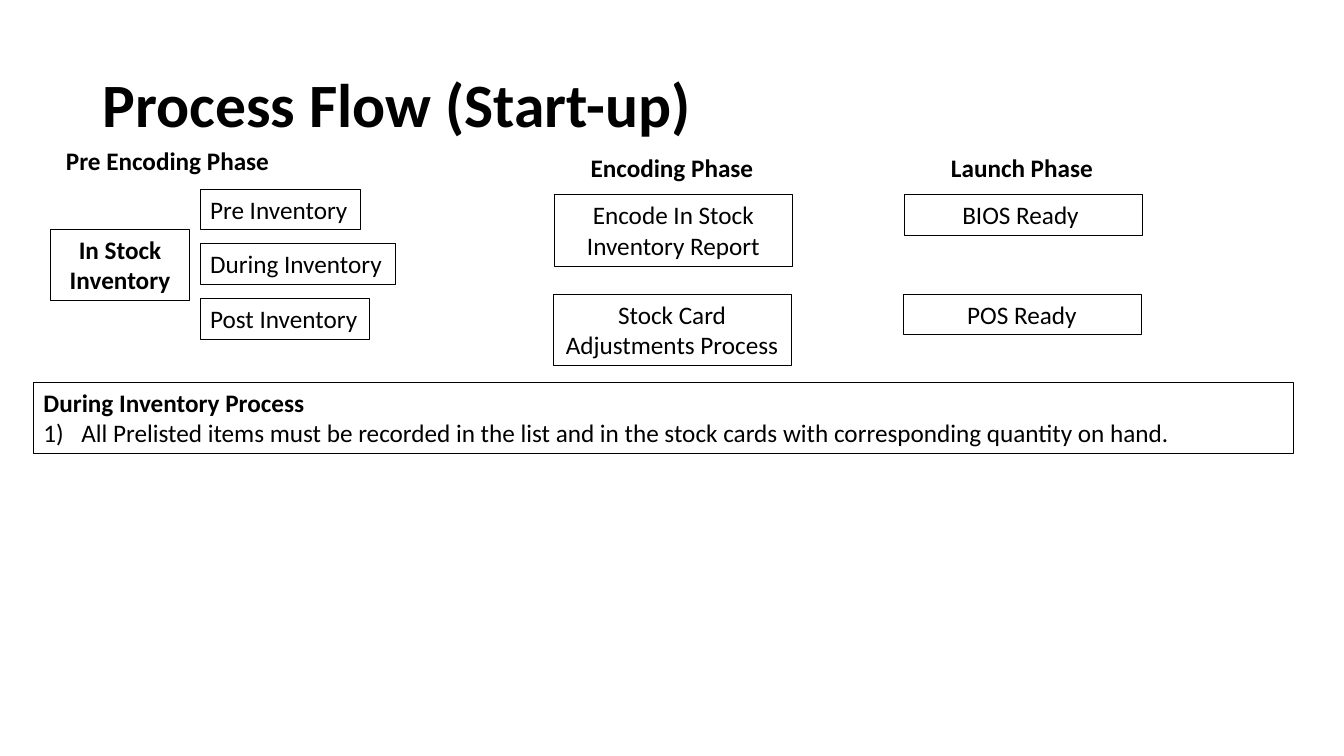
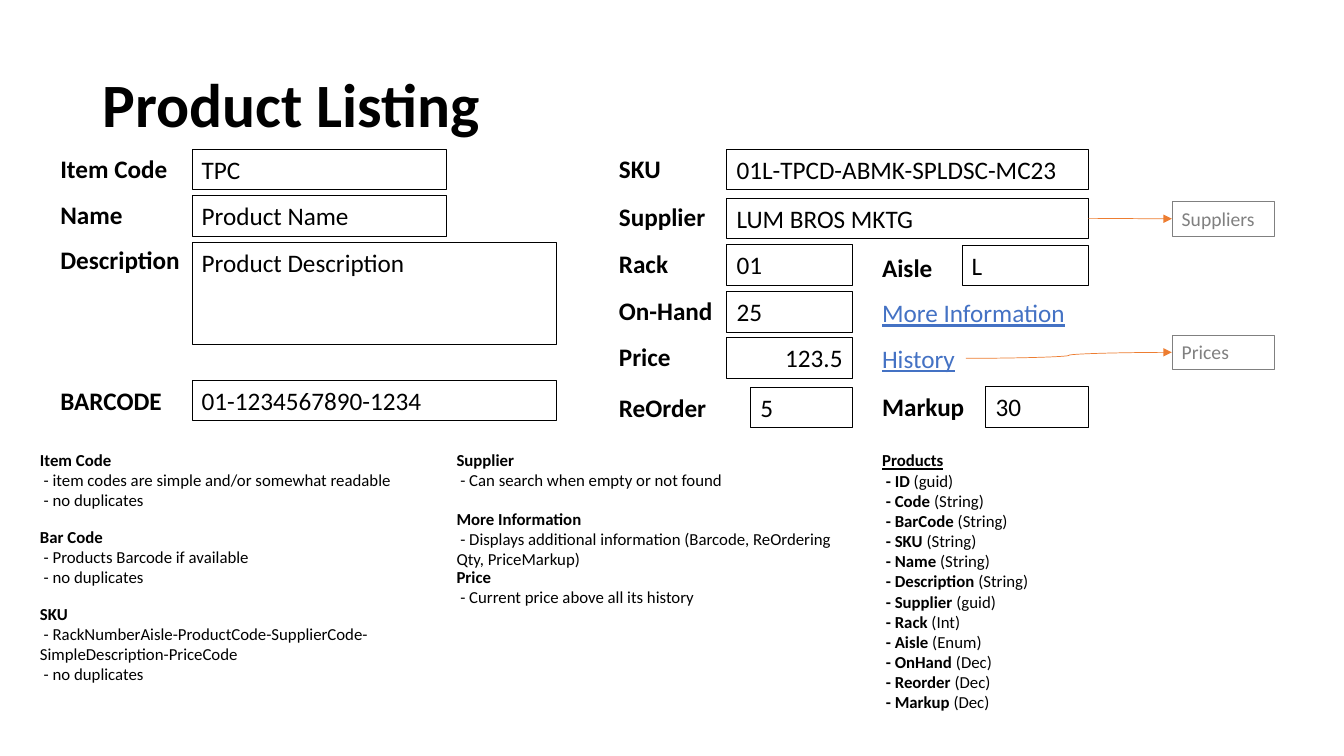
from lxml.etree import SubElement
from pptx import Presentation
from pptx.dml.color import RGBColor
from pptx.enum.shapes import MSO_CONNECTOR, MSO_SHAPE
from pptx.enum.text import MSO_ANCHOR, MSO_AUTO_SIZE, PP_ALIGN as ALIGN
from pptx.oxml.ns import qn
from pptx.util import Pt

COLORS = {"ink": "000000", "paper": "FFFFFF", "muted": "808080",
          "link": "4472C4", "arrow": "ED7D31"}
FONT = "Calibri"
LINE_H, TWO_LINES_H = 29, 51  # box heights for one and two lines of 18 pt


def rgb(name):
    return RGBColor.from_string(COLORS[name])


def style(paragraph, size=18, color="ink", bold=False, underline=False,
          align=ALIGN.LEFT):
    font = paragraph.font
    font.name, font.size, font.bold = FONT, Pt(size), bold
    font.underline = underline
    font.color.rgb = rgb(color)
    paragraph.alignment = align


def write(shape, lines, wrap=True):
    """Fill a shape with (text, style) lines; a text may be (run, bold) pairs."""
    frame = shape.text_frame
    frame.word_wrap = wrap
    frame.auto_size = MSO_AUTO_SIZE.SHAPE_TO_FIT_TEXT
    frame.vertical_anchor = MSO_ANCHOR.TOP
    for index, (text, look) in enumerate(lines):
        paragraph = frame.add_paragraph() if index else frame.paragraphs[0]
        style(paragraph, **look)
        if isinstance(text, str):
            paragraph.add_run().text = text
            continue
        for part, bold in text:
            run = paragraph.add_run()
            run.text, run.font.bold = part, bold
    return shape


def label(slide, box, lines, wrap=False):
    return write(slide.shapes.add_textbox(*map(Pt, box)), lines, wrap)


def framed(slide, box, lines, wrap=True, edge="ink"):
    shape = slide.shapes.add_shape(MSO_SHAPE.RECTANGLE, *map(Pt, box))
    shape.shadow.inherit = False
    shape.fill.background()
    shape.line.color.rgb = rgb(edge)
    shape.line.width = Pt(0.25)
    return write(shape, lines, wrap)


def titled_slide(deck, heading):
    slide = deck.slides.add_slide(deck.slide_layouts[5])
    slide.background.fill.solid()
    slide.background.fill.fore_color.rgb = rgb("paper")
    title = slide.shapes.title
    title.left, title.top, title.width, title.height = map(Pt, (66, 25, 828, 104))
    title.text_frame.text = heading
    title.text_frame.vertical_anchor = MSO_ANCHOR.MIDDLE
    paragraph = title.text_frame.paragraphs[0]
    style(paragraph, size=44, bold=True)
    paragraph.line_spacing = 0.9
    return slide


# Process flow regions

def pre_encoding_phase(slide, left, top):
    label(slide, (left + 4, top, 161, LINE_H),
          [("Pre Encoding Phase", {"bold": True})])
    framed(slide, (left, top + 63.5, 99.5, TWO_LINES_H),
           [("In Stock Inventory", {"bold": True, "align": ALIGN.CENTER})])
    steps = [("Pre Inventory", 114), ("During Inventory", 139), ("Post Inventory", 121)]
    for row, (step, width) in enumerate(steps):
        framed(slide, (left + 107, top + 35 + 39 * row, width, LINE_H),
               [(step, {})], wrap=False)


def phase(slide, left, top, heading, steps, step_h):
    label(slide, (left - 2, top, 172, LINE_H),
          [(heading, {"bold": True, "align": ALIGN.CENTER})], wrap=True)
    for row, step in enumerate(steps):
        framed(slide, (left - row, top + 34 + 71 * row, 170, step_h),
               [(step, {"align": ALIGN.CENTER})])


def numbered_process(slide, box, heading, step):
    panel = framed(slide, box, [(heading, {"bold": True}), (step, {})])
    props = panel.text_frame.paragraphs[1]._p.get_or_add_pPr()
    props.set("marL", str(Pt(27)))
    props.set("indent", str(-Pt(27)))
    number = props.makeelement(qn("a:buAutoNum"), {"type": "arabicParenR"})
    props.insert(0, number)


def process_flow(deck):
    slide = titled_slide(deck, "Process Flow (Start-up)")
    pre_encoding_phase(slide, 36, 100)
    phase(slide, 396, 105, "Encoding Phase",
          ["Encode In Stock Inventory Report", "Stock Card Adjustments Process"],
          TWO_LINES_H)
    phase(slide, 646, 105, "Launch Phase", ["BIOS Ready ", "POS Ready"], LINE_H)
    numbered_process(
        slide, (24, 273, 900, TWO_LINES_H), "During Inventory Process",
        "All Prelisted items must be recorded in the list and in the stock cards "
        "with corresponding quantity on hand.")


# Product listing regions

# caption, caption x, y, width, value, value x, y, width, height
ITEM_FIELDS = [
    ("Item Code", 0, 0, 92, "TPC", 101, 0.5, 182, LINE_H),
    ("Name", 0, 32.5, 60, "Product Name", 101, 33.5, 182, LINE_H),
    ("Description", 0, 65, 101, "Product Description", 101, 67, 260, 73),
    ("BARCODE", 0, 165.5, 89, "01-1234567890-1234", 101, 165.5, 260, LINE_H),
]
STOCK_FIELDS = [
    ("SKU", 0, 0, 46, "01L-TPCD-ABMK-SPLDSC-MC23", 84, 0.5, 258.5, LINE_H),
    ("Supplier", 0, 34, 77, "LUM BROS MKTG", 84, 35.5, 258.5, LINE_H),
    ("Rack", 0, 67.5, 52, "01", 84, 68.5, 90, LINE_H),
    ("Aisle", 188, 70.5, 56, "L", 252, 69, 90, LINE_H),
    ("On-Hand", 0, 101.5, 83, "25", 84, 102, 90, LINE_H),
    ("Price", 0, 134, 54, "123.5", 84, 135, 90, LINE_H),
    ("ReOrder", 0, 170.5, 78, "5", 101, 170.5, 73, LINE_H),
    ("Markup", 188, 170, 75, "30", 269, 170, 73, LINE_H),
]


def form(slide, left, top, fields):
    values = {}
    for caption, cap_x, cap_y, cap_w, value, x, y, width, height in fields:
        label(slide, (left + cap_x, top + cap_y, cap_w, LINE_H),
              [(caption, {"bold": True})])
        align = ALIGN.RIGHT if caption == "Price" else ALIGN.LEFT
        values[caption] = framed(slide, (left + x, top + y, width, height),
                                 [(value, {"align": align})])
    return values


def link(slide, left, top, width, text):
    return label(slide, (left, top, width, LINE_H),
                 [(text, {"color": "link", "underline": True})])


def lookup(slide, left, top, text, source):
    """A grey box with a curved arrow that leads to it from its source."""
    target = framed(slide, (left, top, 73, 24.5),
                    [(text, {"size": 14, "color": "muted"})], edge="muted")
    arrow = slide.shapes.add_connector(MSO_CONNECTOR.CURVE, 0, 0, 0, 0)
    arrow.begin_connect(source, 3)
    arrow.end_connect(target, 1)
    arrow.line.color.rgb = rgb("arrow")
    arrow.line.width = Pt(0.5)
    props = arrow._element.spPr
    SubElement(props.find(qn("a:ln")), qn("a:tailEnd"), type="triangle")
    SubElement(props, qn("a:effectLst"))


NOTES = [
    ((21.5, 317.5, 268, 51), "Item Code",
     ["item codes are simple and/or somewhat readable", "no duplicates"]),
    ((21.5, 372.5, 268, 51), "Bar Code",
     ["Products Barcode if available", "no duplicates"]),
    ((21.5, 427.5, 268, 65.5), "SKU",
     ["RackNumberAisle-ProductCode-SupplierCode-SimpleDescription-PriceCode",
      "no duplicates"]),
    ((319, 317.5, 290, 36), "Supplier", ["Can search when empty or not found"]),
    ((319, 359.5, 290, 51), "More Information",
     ["Displays additional information (Barcode, ReOrdering Qty, PriceMarkup)"]),
    ((319, 401.5, 290, 36), "Price", ["Current price above all its history"]),
]
PRODUCT_COLUMNS = [
    ("ID", "guid"), ("Code", "String"), ("BarCode", "String"), ("SKU", "String"),
    ("Name", "String"), ("Description", "String"), ("Supplier", "guid"),
    ("Rack", "Int"), ("Aisle", "Enum"), ("OnHand", "Dec"), ("Reorder", "Dec"),
    ("Markup", "Dec"),
]


def note(slide, box, heading, remarks):
    label(slide, box, [(heading, {"size": 12, "bold": True})]
          + [(f" - {remark}", {"size": 12}) for remark in remarks], wrap=True)


def product_schema(slide, box):
    heading = ("Products", {"size": 12, "bold": True, "underline": True})
    columns = [([(f" - {name} ", True), (f"({kind})", False)], {"size": 12})
               for name, kind in PRODUCT_COLUMNS]
    label(slide, box, [heading] + columns, wrap=True)


def product_listing(deck):
    slide = titled_slide(deck, "Product Listing")
    form(slide, 36, 106, ITEM_FIELDS)
    stock = form(slide, 435, 106, STOCK_FIELDS)
    link(slide, 623, 209, 150, "More Information")
    history = link(slide, 623, 241.5, 67, "History")
    lookup(slide, 837, 144, "Suppliers", stock["Supplier"])
    lookup(slide, 837, 239.5, "Prices", history)
    for box, heading, remarks in NOTES:
        note(slide, box, heading, remarks)
    product_schema(slide, (623, 318, 167, 196.5))


def main():
    deck = Presentation()
    deck.slide_width, deck.slide_height = Pt(960), Pt(540)
    process_flow(deck)
    product_listing(deck)
    deck.save("out.pptx")


if __name__ == "__main__":
    main()
